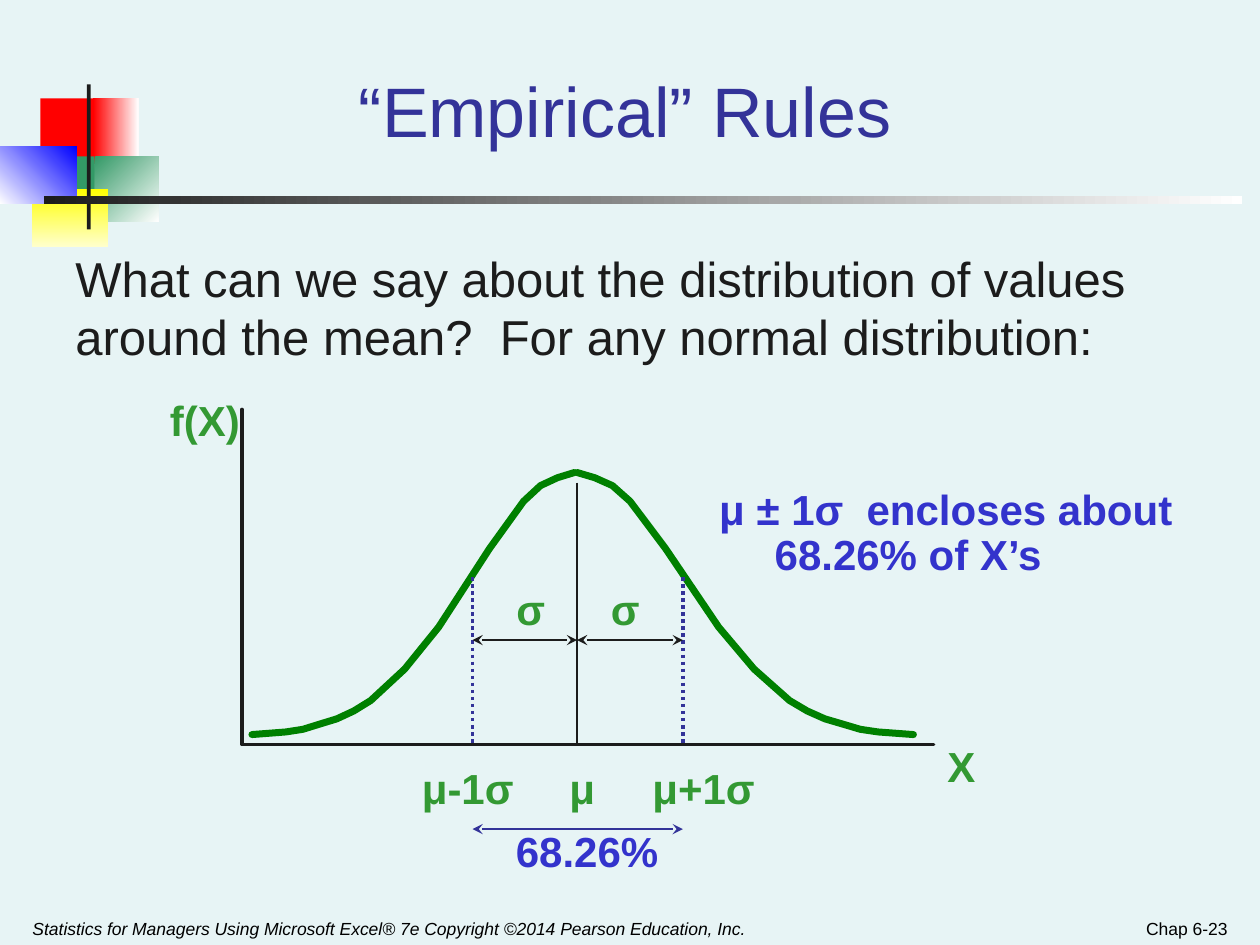
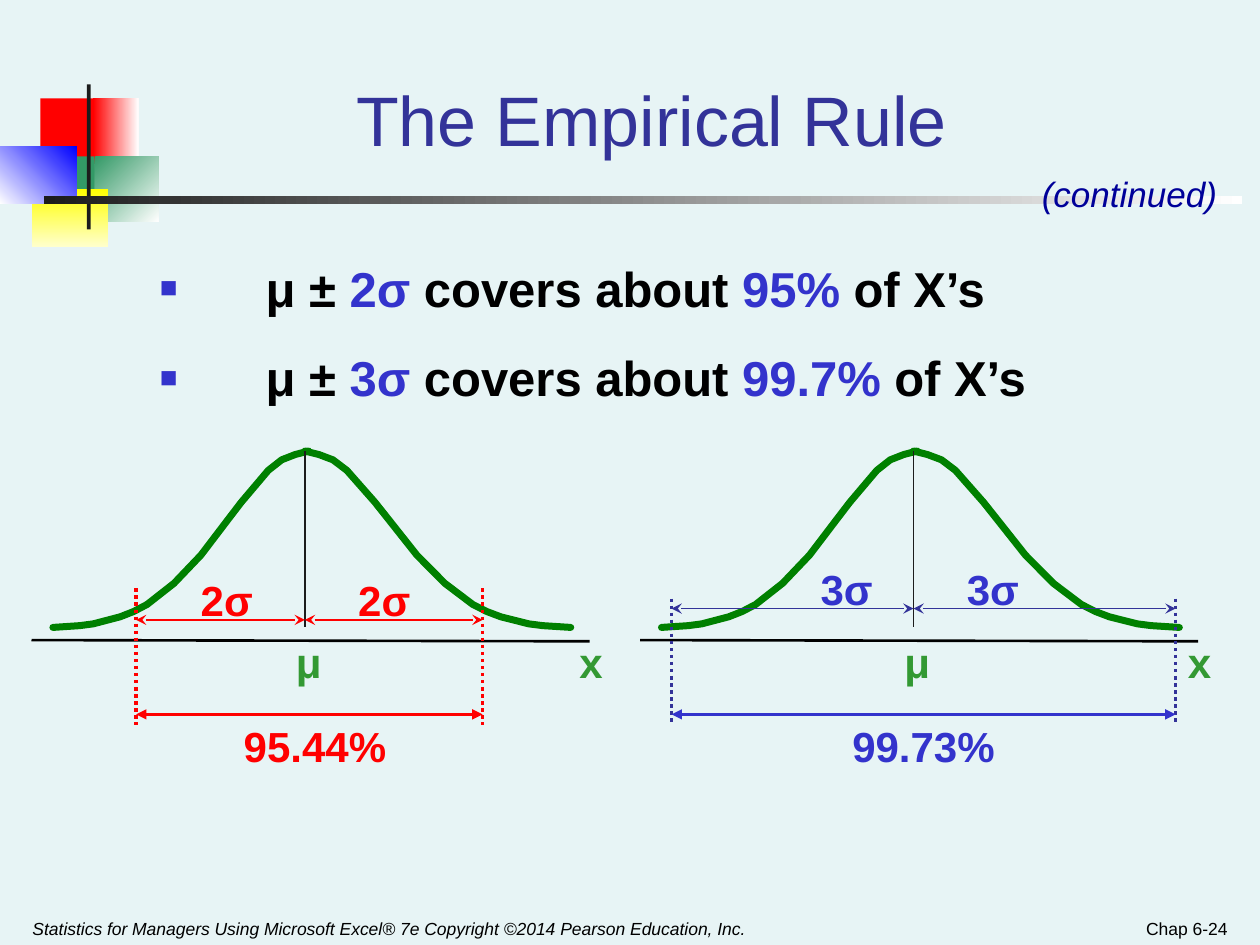
from dataclasses import dataclass, replace

from lxml.etree import SubElement
from pptx import Presentation
from pptx.dml.color import RGBColor
from pptx.enum.dml import MSO_LINE
from pptx.enum.shapes import MSO_CONNECTOR, MSO_SHAPE
from pptx.enum.text import MSO_ANCHOR as ANCHOR, PP_ALIGN as ALIGN
from pptx.oxml.ns import qn
from pptx.slide import Slide
from pptx.util import Inches, Pt

FONT = "Arial"
PAPER = "E7F4F5"
INK = "1C1C1C"
BLACK = "000000"
NAVY = "333399"
BLUE = "3333CC"
GREEN = "339933"
CURVE = "008000"
RED = "FF0000"
COPYRIGHT = "Statistics for Managers Using Microsoft Excel® 7e Copyright ©2014 Pearson Education, Inc."

BELL_STEPS = [0, 2, 3, 4, 5, 6, 7, 9, 11, 13, 14, 15, 16, 17, 18, 19]
BELL_HEIGHTS = [0, 0.01, 0.02, 0.04, 0.06, 0.09, 0.13, 0.25, 0.41, 0.61,
                0.71, 0.8, 0.89, 0.95, 0.98, 1]


@dataclass(frozen=True)
class Box:
    x: float
    y: float
    w: float
    h: float = 0.5

    def emu(self) -> list[int]:
        return [Inches(v) for v in (self.x, self.y, self.w, self.h)]


@dataclass(frozen=True)
class Style:
    size: float = 24
    color: str = GREEN
    bold: bool = True
    italic: bool = False
    align: ALIGN = ALIGN.LEFT
    anchor: ANCHOR = ANCHOR.TOP
    spacing: float = 1.0
    margin: float = 0
    hang: float = 0
    before: float = 0
    bullet: str = ""


@dataclass(frozen=True)
class Block:
    box: Box
    fill: str
    fade: str = ""
    angle: float = 0


@dataclass(frozen=True)
class Panel:
    mean: float
    left: float
    right: float
    guide_top: float
    sigma_y: float
    sigma: str
    sigma_centers: tuple[float, float]
    percent: str
    line_color: str
    text_color: str


@dataclass(frozen=True)
class Rule:
    lead: str
    share: str


LABEL = Style()
CENTERED = Style(align=ALIGN.CENTER)
TITLE = Style(40, NAVY, False, align=ALIGN.CENTER, anchor=ANCHOR.BOTTOM)
FOOTER = Style(10, BLACK, False, anchor=ANCHOR.BOTTOM)

MOTIF = [
    Block(Box(0.32, 0.78, 0.48, 0.52), RED),
    Block(Box(0.74, 0.78, 0.36, 0.52), RED, "FFFFFF"),
    Block(Box(0.75, 1.24, 0.51, 0.52), "339966", "FFFFFF", 45),
    Block(Box(0.43, 1.24, 0.32, 0.52), "339966"),
    Block(Box(0.25, 1.5, 0.61, 0.46), "FFFF00", "FFFFCC", 90),
    Block(Box(0, 1.16, 0.61, 0.46), "FFFFFF", "0000FF", 315),
    Block(Box(0.69, 0.67, 0.03, 1.15), INK),
    Block(Box(0.35, 1.56, 9.51, 0.06), INK, "FFFFFF"),
]

PANELS = [
    Panel(2.42, 1.08, 3.83, 4.67, 4.92, "2σ", (1.8, 3.05), "95.44%", RED, RED),
    Panel(7.25, 5.33, 9.33, 4.75, 4.83, "3σ", (6.72, 7.88), "99.73%", NAVY, BLUE),
]

RULES = [Rule("2σ ", "95%"), Rule("3σ ", "99.7%")]


def rgb(value: str) -> RGBColor:
    return RGBColor.from_string(value)


def add_block(slide: Slide, block: Block) -> None:
    s = slide.shapes.add_shape(MSO_SHAPE.RECTANGLE, *block.box.emu())
    s.shadow.inherit = False
    s.line.fill.background()
    if not block.fade:
        s.fill.solid()
        s.fill.fore_color.rgb = rgb(block.fill)
        return
    s.fill.gradient()
    s.fill.gradient_angle = (360 - block.angle) % 360
    for stop, color in zip(s.fill.gradient_stops, (block.fill, block.fade)):
        stop.color.rgb = rgb(color)


def format_paragraph(p, style: Style) -> None:
    pPr = p._p.get_or_add_pPr()
    if style.margin:
        pPr.set("marL", str(Inches(style.margin)))
        pPr.set("indent", str(-Inches(style.hang)))
    if style.bullet:
        SubElement(SubElement(pPr, qn("a:buClr")), qn("a:srgbClr"), val=style.bullet)
        SubElement(pPr, qn("a:buSzPct"), val="60000")
        SubElement(pPr, qn("a:buFont"), typeface=FONT)
        SubElement(pPr, qn("a:buChar"), char="■")
    p.alignment = style.align
    p.line_spacing = style.spacing


def add_paragraphs(slide: Slide, box: Box, style: Style,
                   paragraphs: list[list[tuple[str, str]]]) -> None:
    tf = slide.shapes.add_textbox(*box.emu()).text_frame
    tf.word_wrap = True
    tf.vertical_anchor = style.anchor
    for i, runs in enumerate(paragraphs):
        p = tf.add_paragraph() if i else tf.paragraphs[0]
        format_paragraph(p, style)
        if i:
            p.space_before = Pt(style.before)
        for text, color in runs:
            r = p.add_run()
            r.text = text
            r.font.name = FONT
            r.font.size = Pt(style.size)
            r.font.bold = style.bold
            r.font.italic = style.italic
            r.font.color.rgb = rgb(color)


def add_text(slide: Slide, text: str, box: Box, style: Style = LABEL) -> None:
    add_paragraphs(slide, box, style, [[(text, style.color)]])


def add_centered(slide: Slide, text: str, center: float, y: float, w: float, color: str) -> None:
    add_text(slide, text, Box(center - w / 2, y, w), replace(CENTERED, color=color))


def add_line(slide: Slide, x1: float, y1: float, x2: float, y2: float, color: str,
             width: float = 1, arrows: str = "", dotted: bool = False) -> None:
    ends = [Inches(v) for v in (x1, y1, x2, y2)]
    s = slide.shapes.add_connector(MSO_CONNECTOR.STRAIGHT, *ends)
    s.line.color.rgb = rgb(color)
    s.line.width = Pt(width)
    if dotted:
        s.line.dash_style = MSO_LINE.ROUND_DOT
    if arrows:
        for end in ("a:headEnd", "a:tailEnd"):
            SubElement(s.line._get_or_add_ln(), qn(end), type=arrows)
    SubElement(s._element.spPr, qn("a:effectLst"))


def add_outline(slide: Slide, points: list[tuple[float, float]], color: str, width: float) -> None:
    start, *rest = [(Inches(x), Inches(y)) for x, y in points]
    builder = slide.shapes.build_freeform(*start)
    builder.add_line_segments(rest, close=False)
    s = builder.convert_to_shape()
    s.shadow.inherit = False
    s.fill.background()
    s.line.color.rgb = rgb(color)
    s.line.width = Pt(width)
    ln = s.line._get_or_add_ln()
    ln.set("cap", "rnd")
    SubElement(ln, qn("a:round"))


def add_half_bell(slide: Slide, tail: float, peak: float, top: float, height: float) -> None:
    points = [(tail + (peak - tail) * step / BELL_STEPS[-1], top + height * (1 - level))
              for step, level in zip(BELL_STEPS, BELL_HEIGHTS)]
    add_outline(slide, points, CURVE, 4)


def add_spread(slide: Slide, left: float, mean: float, right: float, y: float,
               arrow_color: str, guide_color: str, guide_top: float, guide_bottom: float) -> None:
    for x in (left, right):
        add_line(slide, x, guide_top, x, guide_bottom, guide_color, 2, dotted=True)
    for start, end in ((left, mean), (mean, right)):
        add_line(slide, start, y, end, y, arrow_color, arrows="stealth")


def start_slide(prs, title: str, box: Box, style: Style, number: int) -> Slide:
    slide = prs.slides.add_slide(prs.slide_layouts[6])
    for block in MOTIF:
        add_block(slide, block)
    add_text(slide, COPYRIGHT, Box(0.16, 7.15, 6.17, 0.35), replace(FOOTER, italic=True))
    add_text(slide, f"Chap 6-{number}", Box(7.5, 7.15, 2.34, 0.35),
             replace(FOOTER, align=ALIGN.RIGHT))
    add_text(slide, title, box, style)
    return slide


def build_one_sigma(prs) -> None:
    slide = start_slide(prs, "“Empirical” Rules", Box(1.25, 0.25, 7.42, 1), TITLE, 23)
    left, mean, right, base = 3.75, 4.58, 5.42, 5.92
    add_text(slide, "What can we say about the distribution of values around the mean?"
             "  For any normal distribution:", Box(0.5, 1.92, 9.25, 1.04), Style(28, INK, False))
    add_text(slide, "μ ± 1σ  encloses about 68.26% of X’s", Box(5.42, 3.83, 4.58, 1.1),
             Style(24, BLUE, spacing=0.9, margin=0.63, hang=0.44))
    add_outline(slide, [(1.92, 3.25), (1.92, 5.91), (7.41, 5.91)], INK, 2)
    add_half_bell(slide, 7.25, mean, 3.75, 2.08)
    add_half_bell(slide, 2, 4.56, 3.75, 2.08)
    add_line(slide, mean, 3.83, mean, base, INK)
    add_spread(slide, left, mean, right, 5.08, INK, NAVY, 4.58, base)
    add_line(slide, left, 6.58, right, 6.58, NAVY, arrows="stealth")
    for text, x, y, w in [("f(X)", 1.25, 3.08, 0.8), ("X", 7.42, 5.83, 0.45),
                          ("μ-1σ", 3.25, 6, 1), ("μ", 4.42, 6, 0.52), ("μ+1σ", 5.08, 6, 1.17),
                          ("σ", 4, 4.58, 0.45), ("σ", 4.75, 4.58, 0.45)]:
        add_text(slide, text, Box(x, y, w))
    add_centered(slide, "68.26%", mean + 0.08, 6.5, 1.4, BLUE)


def add_panel(slide: Slide, panel: Panel) -> None:
    mean = panel.mean
    add_half_bell(slide, mean + 2.11, mean, 3.58, 1.4)
    add_half_bell(slide, mean - 2, mean + 0.03, 3.58, 1.4)
    add_line(slide, mean, 3.58, mean, 4.98, INK)
    add_line(slide, mean - 2.17, 5.08, mean + 2.26, 5.09, BLACK, 1.5)
    add_spread(slide, panel.left, mean, panel.right, panel.sigma_y,
               panel.line_color, panel.line_color, panel.guide_top, 5.75)
    add_line(slide, panel.left, 5.67, panel.right, 5.67, panel.text_color, 1.5, "triangle")
    add_text(slide, "μ", Box(mean - 0.17, 5, 0.42))
    add_text(slide, "x", Box(mean + 2.08, 5, 0.42))
    for center in panel.sigma_centers:
        add_centered(slide, panel.sigma, center, panel.sigma_y - 0.41, 0.7, panel.text_color)
    add_centered(slide, panel.percent, mean + 0.08, 5.67, 1.4, panel.text_color)


def build_two_three_sigma(prs) -> None:
    slide = start_slide(prs, "The Empirical Rule", Box(1.34, 0.25, 7.66, 1.08),
                        replace(TITLE, spacing=0.9), 24)
    paragraphs = [[("μ ± ", BLACK), (rule.lead, BLUE), ("covers about ", BLACK),
                   (rule.share, BLUE), (" of X’s", BLACK)] for rule in RULES]
    add_paragraphs(slide, Box(1.17, 2, 7.58, 1.56),
                   Style(28, BLACK, margin=0.84, hang=0.84, before=17.5, bullet=BLUE), paragraphs)
    for panel in PANELS:
        add_panel(slide, panel)
    add_text(slide, "(continued)", Box(8.17, 1.32, 1.67, 0.44),
             Style(20, "000099", False, italic=True))


def main() -> None:
    prs = Presentation()
    prs.slide_width, prs.slide_height = Inches(10), Inches(7.5)
    fill = prs.slide_master.background.fill
    fill.solid()
    fill.fore_color.rgb = rgb(PAPER)
    build_one_sigma(prs)
    build_two_three_sigma(prs)
    prs.save("out.pptx")


if __name__ == "__main__":
    main()
